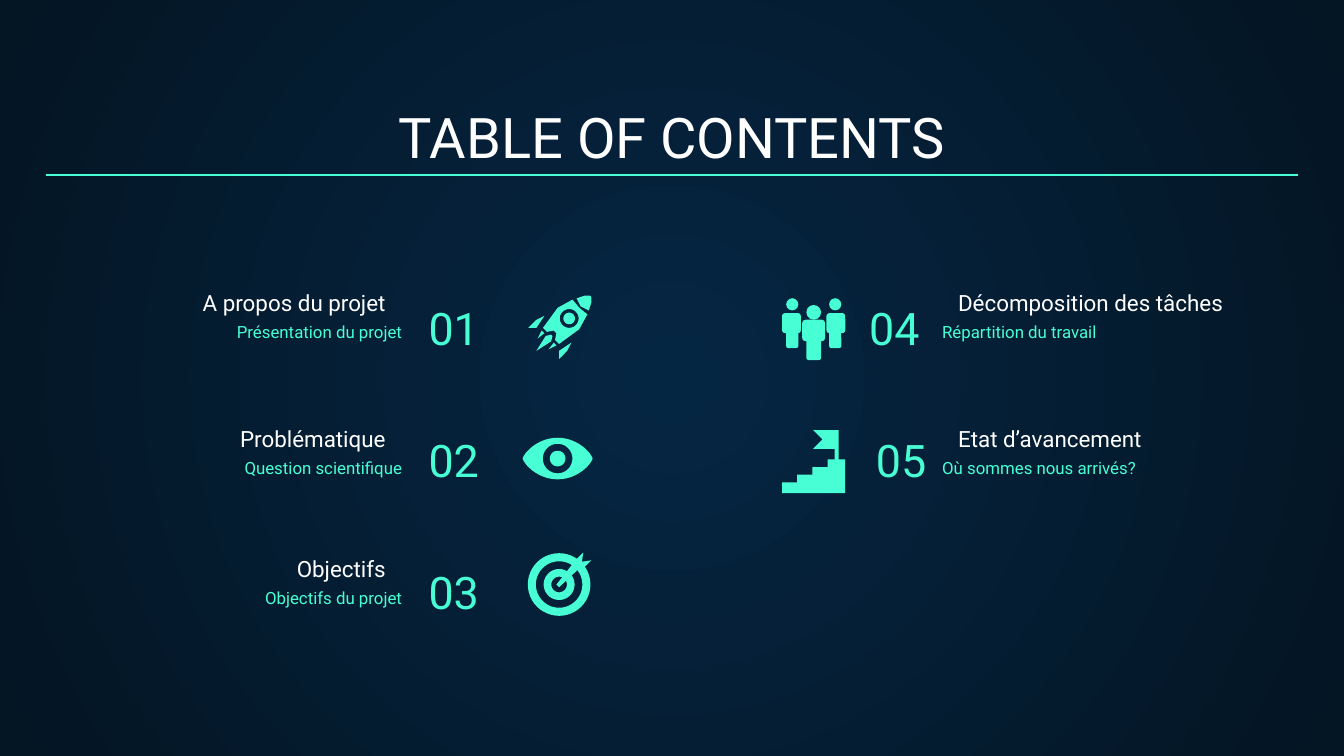
from math import cos, sin, tau

from lxml.etree import SubElement
from pptx import Presentation
from pptx.dml.color import RGBColor
from pptx.enum.shapes import MSO_CONNECTOR as LINE, MSO_SHAPE as SHAPE
from pptx.enum.text import MSO_ANCHOR as ANCHOR, PP_ALIGN as ALIGN
from pptx.oxml.ns import qn
from pptx.util import Pt

MINT = RGBColor(0x48, 0xFF, 0xD5)
WHITE = RGBColor(0xFF, 0xFF, 0xFF)
NAVY = RGBColor(0x05, 0x26, 0x43)
NIGHT = RGBColor(0x04, 0x15, 0x23)
FONT = "Roboto"
UNIT = 0.72  # points per step of the icon grid
SIZE = 47  # icon grid

TITLE = "TABLE OF CONTENTS"
# heading, note, left edge of the number
LEFT = [
    ("A propos du projet", "Présentation du projet", 222.5),
    ("Problématique", "Question scientifique", 222.5),
    ("Objectifs", "Objectifs du projet", 222.5),
]
RIGHT = [
    ("Décomposition des tâches", "Répartition du travail", 406.8),
    ("Etat d’avancement", "Où sommes nous arrivés?", 410.4),
]
NOTES = (167, 239.8, 309.6)  # tops of the rows of notes
NUM_TOP, NUM_STEP = 149.8, 70.55


def disc(x, y, r, n=48):
    turns = [tau * i / n for i in range(n)]
    return [(x + r * cos(a), y + r * sin(a)) for a in turns]


def lens(x, y, n=48):
    """An eye outline that narrows to a point at both ends."""
    turns = [tau * i / n for i in range(n)]
    return [(x + x * cos(a), y + y * sin(a) * abs(sin(a)) ** 0.5) for a in turns]


def flip(path):
    """Reflect a path across the rising diagonal of the icon grid."""
    return [(SIZE - y, SIZE - x) for x, y in reversed(path)]


def rocket():
    hull = [(38, 9), (33, 3), (22, 9), (11, 24), (14, 27), (19, 26)]
    nose = [(39, 8), (36, 2), (42, 0), (46, 0)]
    fin = [(12, 15), (6, 18), (0, 24), (6, 24)]
    spark = [(10, 26), (7, 32), (12, 28)]
    flame = [(17, 29), (13, 30), (6, 41)]
    wings = [[path] for part in (fin, spark) for path in (part, flip(part))]
    window = disc(30.5, 17, 7)
    body = [[part + flip(part)] for part in (nose, flame)]
    return wings + body + [[hull + flip(hull), window], [disc(30.5, 17, 4.3)]]


def eye():
    return [[lens(26, 15.5), disc(26, 15.5, 11), disc(26, 15.5, 5.8)]]


def target():
    rings = [disc(23, 24, r) for r in (23.3, 17.3, 11.5, 5.8)]
    dart = [(21, 24), (23, 26), (38, 12), (42, 11), (47, 6), (40, 7), (41, 0), (36, 5)]
    return [rings, [dart]]


def stairs():
    steps = [(x, 39 - 5.7 * i) for i in range(4) for x in (11.3 * i, 11.3 * i + 11.3)]
    steps[-1] = (SIZE, steps[-1][1])
    flag = [(23, 0), (30, 7), (23, 14), (39, 14), (39, 23), (42, 23), (42, 0)]
    return [[steps + [(SIZE, SIZE), (0, SIZE)]], [flag]]


# preset, left, top, width, height
SIDE = [(SHAPE.OVAL, 3, 0, 9, 9), (SHAPE.ROUNDED_RECTANGLE, 0, 11, 14, 15),
        (SHAPE.ROUNDED_RECTANGLE, 3, 18, 9, 19)]
MIDDLE = [(SHAPE.OVAL, 18, 5, 11, 11), (SHAPE.ROUNDED_RECTANGLE, 15, 16, 17, 16),
          (SHAPE.ROUNDED_RECTANGLE, 18, 24, 11, 22)]
TEAM = SIDE + MIDDLE + [(kind, SIZE - x - w, y, w, h) for kind, x, y, w, h in SIDE]

# outlines, left, top
ICONS = [(rocket(), 283, 158.4), (eye(), 280, 234.5), (target(), 283, 295.9),
         (stairs(), 419, 230.4)]


def write(text, box, size, color, align, anchor=ANCHOR.BOTTOM, side=7.2):
    frame = slide.shapes.add_textbox(*map(Pt, box)).text_frame
    frame.word_wrap = True
    frame.vertical_anchor = anchor
    frame.margin_left = frame.margin_right = Pt(side)
    frame.margin_top = frame.margin_bottom = Pt(7.2)
    frame.text = text
    para = frame.paragraphs[0]
    para.alignment = align
    font = para.runs[0].font
    font.name, font.size, font.color.rgb = FONT, Pt(size), color


def tint(shape):
    shape.shadow.inherit = False
    shape.fill.solid()
    shape.fill.fore_color.rgb = MINT
    shape.line.fill.background()


def draw(icon, left, top):
    """Draw each part of an icon; inner paths of a part cut holes."""
    for part in icon:
        paths = [[(Pt(left + UNIT * x), Pt(top + UNIT * y)) for x, y in path]
                 for path in part]
        pen = slide.shapes.build_freeform(*paths[0][0])
        for i, path in enumerate(paths):
            if i:
                pen.move_to(*path[0])
            pen.add_line_segments(path[1:], close=True)
        tint(pen.convert_to_shape())


def paint():
    """Give the slide a round gradient, light in the middle."""
    fill = slide.background.fill
    fill.gradient()
    for stop, color in zip(fill.gradient_stops, (NAVY, NIGHT)):
        stop.color.rgb = color
    grad = next(slide._element.iter(qn("a:gradFill")))
    grad.remove(grad.find(qn("a:lin")))
    ring = SubElement(grad, qn("a:path"), path="circle")
    SubElement(ring, qn("a:fillToRect"), {edge: "50000" for edge in "ltrb"})


def fill_side(items, first, head_x, note_x, note_w, outer, inner):
    """Write one column of entries, numbered from first."""
    for row, (head, note, num_x) in enumerate(items):
        top = NOTES[row]
        write(note, (note_x, top, note_w, 39.6), 9, MINT, outer, ANCHOR.TOP, 0)
        write(f"{first + row:02}", (num_x, NUM_TOP + row * NUM_STEP, 92.9, 47.5),
              24, MINT, inner)
        write(head, (head_x, top - 5.6, 163.4, 15.1), 12, WHITE, outer)


deck = Presentation()
deck.slide_width, deck.slide_height = Pt(720), Pt(405)
slide = deck.slides.add_slide(deck.slide_layouts[6])
paint()

write(TITLE, (24.5, 50.4, 671, 47.5), 30, WHITE, ALIGN.CENTER)
rule = slide.shapes.add_connector(LINE.STRAIGHT, Pt(24.5), Pt(93.8), Pt(695.5), Pt(93.8))
rule.line.color.rgb, rule.line.width = MINT, Pt(0.75)
SubElement(rule._element.spPr, qn("a:effectLst"))

fill_side(LEFT, 1, 50.4, 56.9, 158.4, ALIGN.RIGHT, ALIGN.LEFT)
fill_side(RIGHT, 1 + len(LEFT), 506.2, 504.7, 149, ALIGN.LEFT, ALIGN.RIGHT)

for icon, left, top in ICONS:
    draw(icon, left, top)
for kind, x, y, w, h in TEAM:
    tint(slide.shapes.add_shape(kind, Pt(419 + UNIT * x), Pt(159.8 + UNIT * y),
                                Pt(UNIT * w), Pt(UNIT * h)))

deck.save("out.pptx")
